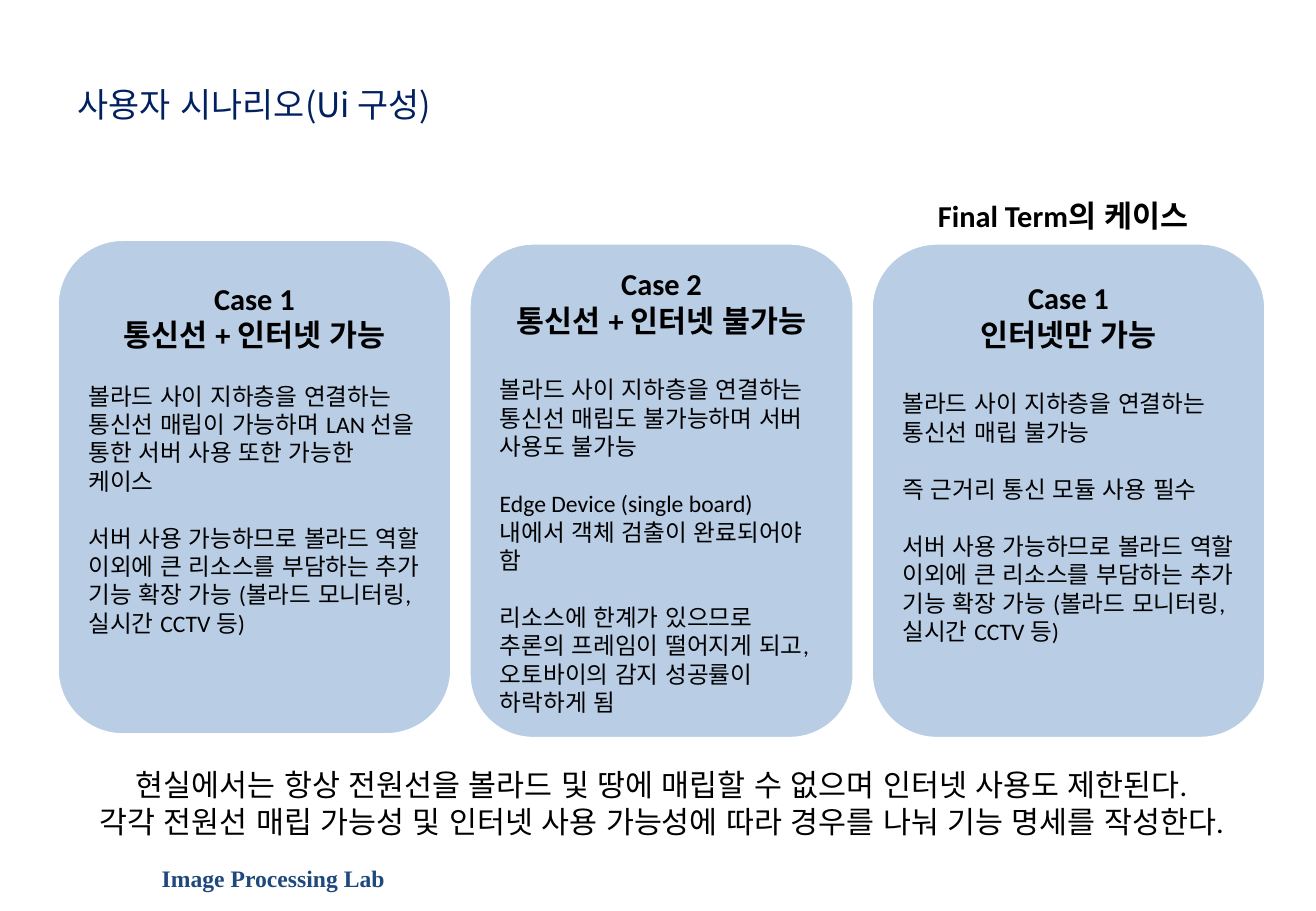
from dataclasses import dataclass

from pptx import Presentation
from pptx.dml.color import RGBColor
from pptx.enum.lang import MSO_LANGUAGE_ID
from pptx.enum.shapes import MSO_SHAPE
from pptx.enum.text import MSO_ANCHOR, PP_ALIGN
from pptx.util import Inches, Pt

KOREAN = MSO_LANGUAGE_ID.KOREAN
ROUNDED = MSO_SHAPE.ROUNDED_RECTANGLE
MIDDLE = MSO_ANCHOR.MIDDLE
TOP = MSO_ANCHOR.TOP
LEFT = PP_ALIGN.LEFT
CENTER = PP_ALIGN.CENTER

COLORS = {
    "text": "000000",
    "title": "002060",
    "lab": "1F497D",
    "card": "B9CDE5",
    "edge": "FFFFFF",
}
SLIDE_WIDTH = Inches(10.83)
SLIDE_HEIGHT = Inches(7.5)
BODY_GAP = 17
HEADING_GAP = 22
PLAIN_INSETS = (0.1, 0.05, 0.1, 0.05)
TIGHT_INSETS = (0.01, 0.02, 0, 0)


@dataclass(frozen=True)
class Area:
    """Left, top, width and height in percent of the slide."""

    left: float
    top: float
    width: float
    height: float

    def lengths(self) -> tuple[int, int, int, int]:
        return (
            int(SLIDE_WIDTH * self.left / 100),
            int(SLIDE_HEIGHT * self.top / 100),
            int(SLIDE_WIDTH * self.width / 100),
            int(SLIDE_HEIGHT * self.height / 100),
        )


@dataclass(frozen=True)
class Line:
    text: str
    size: int = 18
    bold: bool = False
    align: int = CENTER
    gap: float = 0
    font: str = "Calibri"
    color: str = "text"


@dataclass(frozen=True)
class Label:
    area: Area
    lines: list[Line]
    insets: tuple = PLAIN_INSETS
    wrap: bool = False


@dataclass(frozen=True)
class Card:
    area: Area
    heading: str
    condition: str
    details: list[str]
    first_gap: float
    bottom_inset: float


EXTENSION = (
    "서버 사용 가능하므로 볼라드 역할 이외에 큰 리소스를 부담하는 추가 기능 확장 가능 "
    "(볼라드 모니터링, 실시간 CCTV 등)"
)

CARDS = [
    Card(
        Area(4.34, 26.27, 30, 54.4), "Case 1", "통신선 + 인터넷 가능",
        [
            "볼라드 사이 지하층을 연결하는 통신선 매립이 가능하며 LAN 선을 통한 "
            "서버 사용 또한 가능한 케이스",
            EXTENSION,
        ],
        BODY_GAP, 0.52,
    ),
    Card(
        Area(35.64, 26.67, 29.27, 54.4), "Case 2", "통신선 + 인터넷 불가능",
        [
            "볼라드 사이 지하층을 연결하는 통신선 매립도 불가능하며 서버 사용도 불가능",
            "Edge Device (single board) 내에서 객체 검출이 완료되어야 함",
            "리소스에 한계가 있으므로 추론의 프레임이 떨어지게 되고, "
            "오토바이의 감지 성공률이 하락하게 됨",
        ],
        HEADING_GAP, 0.05,
    ),
    Card(
        Area(66.2, 26.67, 30, 54.4), "Case 1", "인터넷만 가능",
        [
            "볼라드 사이 지하층을 연결하는 통신선 매립 불가능",
            "즉 근거리 통신 모듈 사용 필수",
            EXTENSION,
        ],
        HEADING_GAP, 0.52,
    ),
]

LABELS = [
    Label(
        Area(12.19, 94.53, 17.27, 3.47),
        [Line("Image Processing Lab", 14, True, LEFT,
              font="Times New Roman", color="lab")],
        TIGHT_INSETS, True,
    ),
    Label(
        Area(5.82, 8.93, 38.87, 4.67),
        [Line("사용자 시나리오(Ui 구성)", 20, align=LEFT,
              font="Noto Sans CJK KR", color="title")],
        TIGHT_INSETS, True,
    ),
    Label(
        Area(70.36, 20.93, 21.7, 5.33),
        [Line("Final Term의 케이스", bold=True, align=LEFT)],
    ),
    Label(
        Area(3.6, 83.47, 93.35, 13.47),
        [
            Line("현실에서는 항상 전원선을 볼라드 및 땅에 매립할 수 없으며 "
                 "인터넷 사용도 제한된다."),
            Line("각각 전원선 매립 가능성 및 인터넷 사용 가능성에 따라 경우를 나눠 "
                 "기능 명세를 작성한다."),
        ],
    ),
]


def apply(target: object, values: dict) -> None:
    for name, value in values.items():
        setattr(target, name, value)


def rgb(name: str) -> RGBColor:
    return RGBColor.from_string(COLORS[name])


def write(box, lines: list[Line], insets: tuple, wrap: bool, anchor) -> None:
    frame = box.text_frame
    sides = ("margin_left", "margin_top", "margin_right", "margin_bottom")
    apply(frame, dict(zip(sides, map(Inches, insets))))
    apply(frame, {"word_wrap": wrap, "vertical_anchor": anchor})
    for index, line in enumerate(lines):
        para = frame.add_paragraph() if index else frame.paragraphs[0]
        para.alignment = line.align
        if line.gap:
            para.space_before = Pt(line.gap)
        span = para.add_run()
        span.text = line.text
        apply(span.font, {
            "name": line.font,
            "size": Pt(line.size),
            "bold": line.bold,
            "language_id": KOREAN,
        })
        span.font.color.rgb = rgb(line.color)


def draw_label(page, label: Label) -> None:
    box = page.shapes.add_textbox(*label.area.lengths())
    write(box, label.lines, label.insets, label.wrap, TOP)


def draw_card(page, card: Card) -> None:
    box = page.shapes.add_shape(ROUNDED, *card.area.lengths())
    box.shadow.inherit = False
    box.fill.solid()
    box.fill.fore_color.rgb = rgb("card")
    box.line.color.rgb = rgb("edge")
    box.line.width = Pt(2)
    lines = [Line(text, bold=True) for text in (card.heading, card.condition)]
    for index, detail in enumerate(card.details):
        gap = BODY_GAP if index else card.first_gap
        lines.append(Line(detail, 14, align=LEFT, gap=gap))
    write(box, lines, (0.1, 0.05, 0.1, card.bottom_inset), True, MIDDLE)


def main() -> None:
    deck = Presentation()
    apply(deck, {"slide_width": SLIDE_WIDTH, "slide_height": SLIDE_HEIGHT})
    page = deck.slides.add_slide(deck.slide_layouts[6])
    for card in CARDS:
        draw_card(page, card)
    for label in LABELS:
        draw_label(page, label)
    deck.save("out.pptx")


if __name__ == "__main__":
    main()
